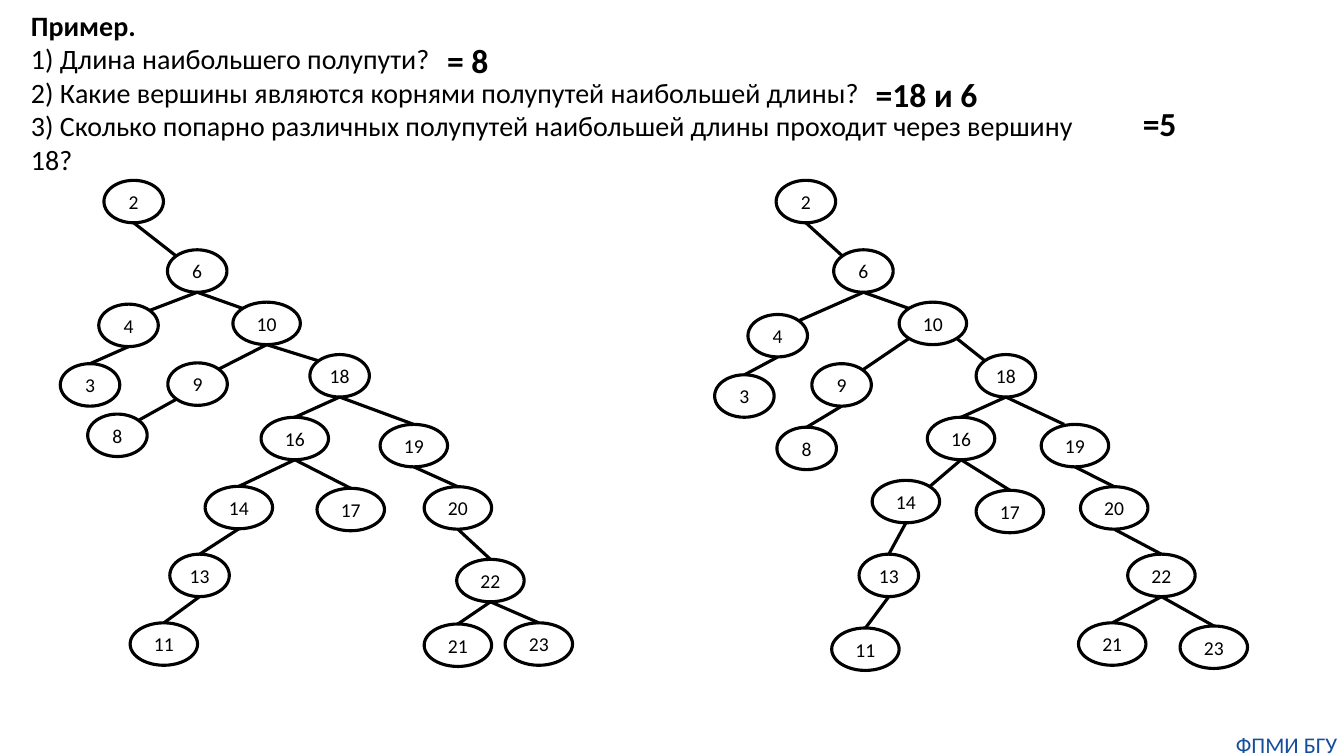
"""Build a slide with two binary search trees and questions on their longest semipaths."""
from dataclasses import dataclass

from lxml import etree
from pptx import Presentation
from pptx.dml.color import RGBColor
from pptx.enum.shapes import MSO_CONNECTOR, MSO_SHAPE
from pptx.enum.text import MSO_ANCHOR, MSO_AUTO_SIZE, PP_ALIGN
from pptx.oxml.ns import qn
from pptx.util import Cm, Pt

STRAIGHT = MSO_CONNECTOR.STRAIGHT
OVAL = MSO_SHAPE.OVAL
LEFT, CENTER = PP_ALIGN.LEFT, PP_ALIGN.CENTER
TOP, MIDDLE = MSO_ANCHOR.TOP, MSO_ANCHOR.MIDDLE
GROW, FIXED = MSO_AUTO_SIZE.SHAPE_TO_FIT_TEXT, MSO_AUTO_SIZE.NONE

QUESTIONS = [
    "Пример.",
    "1) Длина наибольшего полупути?",
    "2) Какие вершины являются корнями полупутей наибольшей длины?",
    "3) Сколько попарно различных полупутей наибольшей длины проходит через вершину 18?",
]
QUESTIONS_PLACE = (0.53, 0.08, 27.97, 3.68)
ANSWERS = [
    ("= 8", (11.02, 0.89, 1.57, 1.27), False),
    ("=18 и 6", (21.82, 1.73, 3.1, 1.27), False),
    ("=5", (28.55, 2.46, 1.8, 1.27), True),
]
FACULTY = "ФПМИ БГУ"
FACULTY_PLACE = (30.99, 18.42, 2.87, 0.69)

PARENTS = {
    6: 2, 4: 6, 10: 6, 3: 4, 9: 10, 18: 10, 8: 9, 16: 18, 19: 18,
    14: 16, 17: 16, 20: 19, 13: 14, 22: 20, 11: 13, 21: 22, 23: 22,
}
TREES = [
    {
        "centers": {
            2: (3.37, 5.08), 6: (4.97, 6.83), 4: (3.24, 8.2), 10: (6.72, 8.15),
            3: (2.27, 9.7), 9: (4.98, 9.68), 18: (8.56, 9.47), 8: (2.96, 10.97),
            16: (7.43, 11.05), 19: (10.43, 11.23), 14: (6.02, 12.79),
            17: (8.84, 12.84), 20: (11.54, 12.8), 13: (5.03, 14.5),
            22: (12.36, 14.63), 11: (4.13, 16.23), 21: (11.54, 16.26),
            23: (13.58, 16.23),
        },
        "leaves_from": {8: "bottom left"},
        "arrives_at": {
            6: "top left", 10: "top left", 18: "top left",
            4: "top right", 9: "top right", 8: "top right",
        },
    },
    {
        "centers": {
            2: (20.31, 5.08), 6: (21.76, 6.83), 4: (19.6, 8.46), 10: (23.51, 8.15),
            3: (18.76, 9.98), 9: (21.21, 9.7), 18: (25.35, 9.47), 8: (20.33, 11.3),
            16: (24.22, 11.05), 19: (27.09, 11.23), 14: (22.83, 12.64),
            17: (25.45, 12.89), 20: (28.08, 12.8), 13: (22.4, 14.5),
            22: (29.27, 14.5), 11: (21.81, 16.36), 21: (28.03, 16.23),
            23: (30.59, 16.31),
        },
        "leaves_from": {9: "bottom left", 18: "bottom right"},
        "arrives_at": {
            6: "top left", 10: "top left", 18: "top left", 19: "near top",
            4: "top right", 9: "top right", 14: "top right",
        },
    },
]

NARROW_VERTICES = {2, 3, 4, 6, 8, 9, 13, 18}
NARROW_WIDTH, WIDE_WIDTH, VERTEX_HEIGHT = 1.5, 1.7, 1.07
RIM = {
    "top": (0, -0.5), "bottom": (0, 0.5), "near top": (-0.16, -0.5),
    "top left": (-0.35, -0.35), "top right": (0.35, -0.35),
    "bottom left": (-0.35, 0.35), "bottom right": (0.35, 0.35),
}


@dataclass(frozen=True)
class Theme:
    """Colours, font and type sizes of the slide."""
    ink: RGBColor = RGBColor(0x00, 0x00, 0x00)
    faculty: RGBColor = RGBColor(0x14, 0x4E, 0x9D)
    font: str = "Calibri"
    vertex_size: int = 14
    faculty_size: int = 16
    question_size: int = 20
    answer_size: int = 24
    line_width: float = 2.25


THEME = Theme()


def write_text(frame, lines, size, color=THEME.ink, bold_lines=(), align=LEFT,
               anchor=TOP, wrap=True, autosize=GROW, inset=None):
    """Fill a text frame with one paragraph per line."""
    frame.word_wrap, frame.auto_size, frame.vertical_anchor = wrap, autosize, anchor
    if inset is not None:
        frame.margin_left = frame.margin_right = Cm(inset)
        frame.margin_top = frame.margin_bottom = Cm(inset)
    for index, line in enumerate(lines):
        paragraph = frame.add_paragraph() if index else frame.paragraphs[0]
        paragraph.alignment = align
        run = paragraph.add_run()
        run.text = line
        run.font.name, run.font.size = THEME.font, Pt(size)
        run.font.bold = index in bold_lines
        run.font.color.rgb = color


def add_label(slide, place, lines, size, **text_format):
    """Add a text box at a place given in centimetres."""
    label = slide.shapes.add_textbox(*map(Cm, place))
    write_text(label.text_frame, lines, size, **text_format)


def vertex_width(value):
    """Return the width of a vertex in centimetres."""
    return NARROW_WIDTH if value in NARROW_VERTICES else WIDE_WIDTH


def rim_point(tree, value, side):
    """Return the point on the rim of a vertex where an edge ends."""
    x, y = tree["centers"][value]
    dx, dy = RIM[side]
    return Cm(x + dx * vertex_width(value)), Cm(y + dy * VERTEX_HEIGHT)


def style_line(line):
    """Give an outline or an edge the tree's stroke."""
    line.color.rgb = THEME.ink
    line.width = Pt(THEME.line_width)


def add_vertex(slide, value, center):
    """Draw one numbered vertex."""
    x, y = center
    width = vertex_width(value)
    vertex = slide.shapes.add_shape(
        OVAL, Cm(x - width / 2), Cm(y - VERTEX_HEIGHT / 2), Cm(width), Cm(VERTEX_HEIGHT))
    vertex.shadow.inherit = False
    vertex.fill.background()
    style_line(vertex.line)
    write_text(vertex.text_frame, [str(value)], THEME.vertex_size, align=CENTER,
               anchor=MIDDLE, wrap=False, autosize=FIXED, inset=0)


def add_edge(slide, tree, parent, child):
    """Draw the edge from a parent vertex to its child."""
    start = rim_point(tree, parent, tree["leaves_from"].get(child, "bottom"))
    end = rim_point(tree, child, tree["arrives_at"].get(child, "top"))
    edge = slide.shapes.add_connector(STRAIGHT, *start, *end)
    style_line(edge.line)
    etree.SubElement(edge._element.spPr, qn("a:effectLst"))


def main():
    """Build and save the slide."""
    deck = Presentation()
    deck.slide_width, deck.slide_height = Cm(33.87), Cm(19.05)
    slide = deck.slides.add_slide(deck.slide_layouts.get_by_name("Blank"))

    for tree in TREES:
        for value, center in tree["centers"].items():
            add_vertex(slide, value, center)
        for child, parent in PARENTS.items():
            add_edge(slide, tree, parent, child)

    add_label(slide, QUESTIONS_PLACE, QUESTIONS, THEME.question_size, bold_lines=(0,))
    for answer, place, wrap in ANSWERS:
        add_label(slide, place, [answer], THEME.answer_size, bold_lines=(0,), wrap=wrap)
    add_label(slide, FACULTY_PLACE, [FACULTY], THEME.faculty_size,
              color=THEME.faculty, align=CENTER, inset=0)
    deck.save("out.pptx")


if __name__ == "__main__":
    main()
